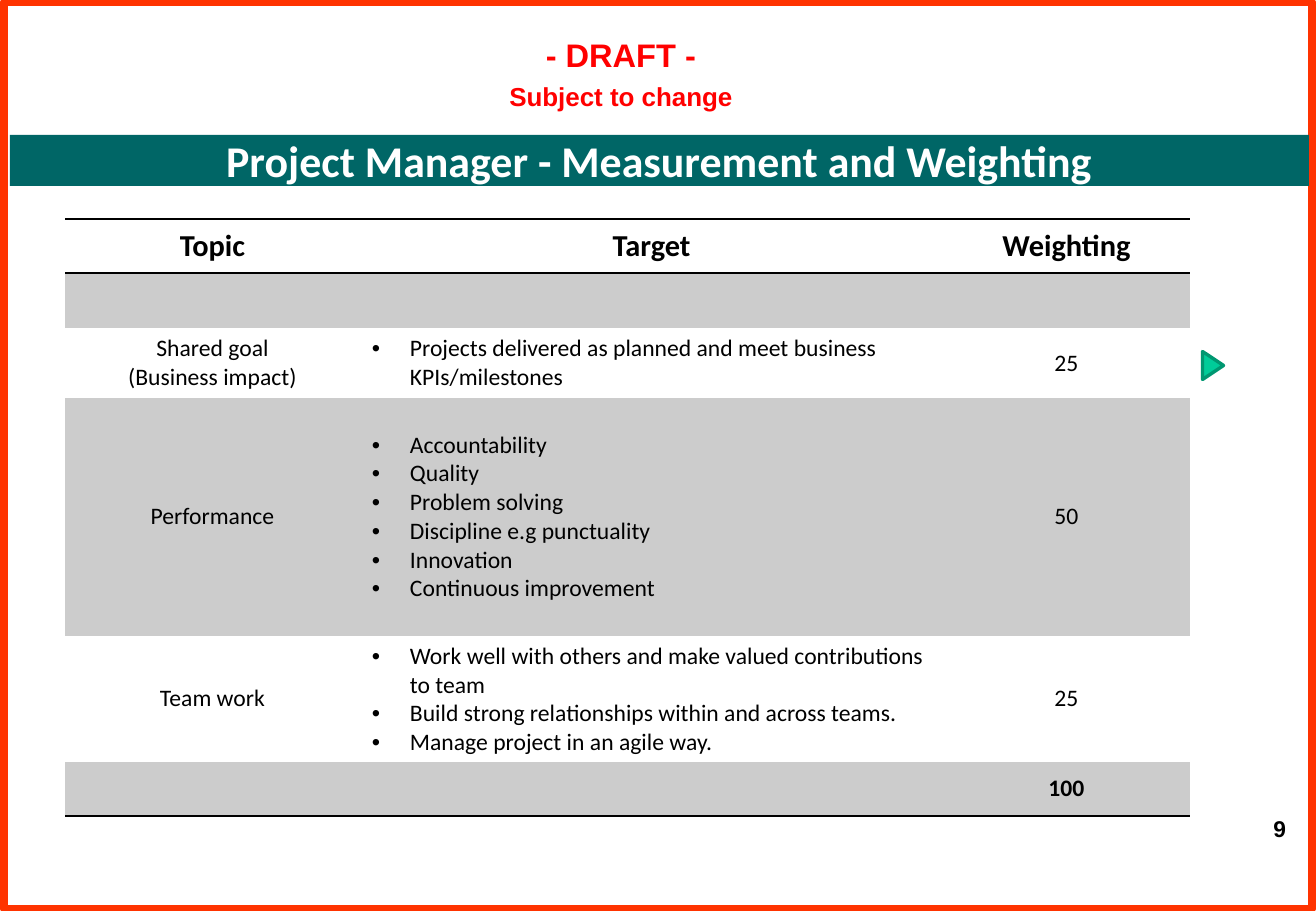
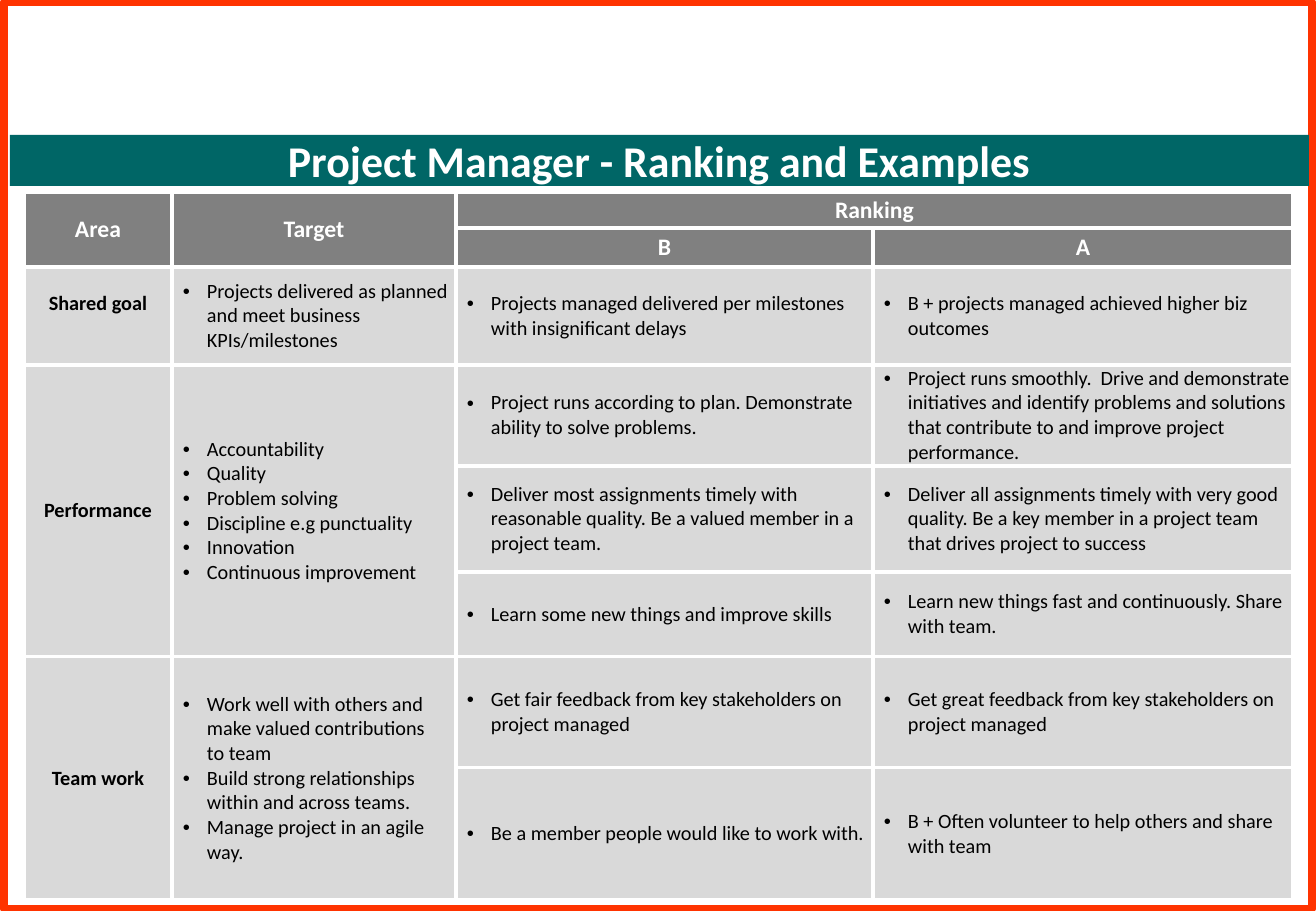
import pptx
import pptx.util
import pptx.dml.color
import pptx.enum.shapes
import pptx.enum.text
import pptx.oxml
import pptx.oxml.ns

PX = 914400 / 121.5  # EMU in one px
W, H = 1316, 911
COLORS = {
    "frame": "FF3300", "band": "006666", "draft": "FF0000", "white": "FFFFFF",
    "black": "000000", "stripe": "CCCCCC", "head": "808080", "body": "D9D9D9",
    "marker": "00CC99", "marker_line": "009771",
}
NO_STYLE = "{2D5ABB26-0587-4C30-8999-92F81FD0307C}"
SHAPE = pptx.enum.shapes.MSO_SHAPE
MIDDLE = pptx.enum.text.MSO_ANCHOR.MIDDLE
ALIGN = {"l": pptx.enum.text.PP_ALIGN.LEFT, "c": pptx.enum.text.PP_ALIGN.CENTER,
         "r": pptx.enum.text.PP_ALIGN.RIGHT}

# Content
GOAL = ["Projects delivered as planned and meet business KPIs/milestones"]
SKILLS = ["Accountability", "Quality", "Problem solving", "Discipline e.g punctuality",
          "Innovation", "Continuous improvement"]
TEAM = ["Work well with others and make valued contributions to team",
        "Build strong relationships within and across teams.",
        "Manage project in an agile way."]

WEIGHTING = {
    "title": "Project Manager - Measurement and Weighting",
    "left": 65, "top": 219,
    "cols": [295, 583, 247],
    "rows": [54, 55, 70, 238, 126, 54],
    "cells": [
        ["Topic", "Target", "Weighting"],
        ["", "", ""],
        [["Shared goal", "(Business impact)"], GOAL, "25"],
        ["Performance", SKILLS, "50"],
        ["Team work", TEAM, "25"],
        ["", "", "100"],
    ],
}
RANKING = {
    "title": "Project Manager - Ranking and Examples",
    "left": 24, "top": 192,
    "cols": [148, 284, 417, 420],
    "rows": [36, 39, 98, 101, 106, 85, 111, 132],
    "merges": [(0, 0, 1, 0), (0, 1, 1, 1), (0, 2, 0, 3),
               (3, 0, 5, 0), (3, 1, 5, 1), (6, 0, 7, 0), (6, 1, 7, 1)],
    "cells": [
        ["Area", "Target", "Ranking", ""],
        ["", "", "B", "A"],
        ["Shared goal", GOAL,
         "Projects managed delivered per milestones with insignificant delays",
         "B + projects managed achieved higher biz outcomes"],
        ["Performance", SKILLS,
         "Project runs according to plan. Demonstrate ability to solve problems.",
         "Project runs smoothly.  Drive and demonstrate initiatives and identify problems "
         "and solutions that contribute to and improve project performance."],
        ["", "",
         "Deliver most assignments timely with reasonable quality. Be a valued member in a "
         "project team.",
         "Deliver all assignments timely with very good quality. Be a key member in a "
         "project team that drives project to success"],
        ["", "", "Learn some new things and improve skills",
         "Learn new things fast and continuously. Share with team."],
        ["Team work", TEAM,
         "Get fair feedback from key stakeholders on project managed",
         "Get great feedback from key stakeholders on project managed"],
        ["", "", "Be a member people would like to work with.",
         "B + Often volunteer to help others and share with team"],
    ],
}


def px(n):
    return pptx.util.Emu(round(n * PX))


def rgb(name):
    return pptx.dml.color.RGBColor.from_string(COLORS[name])


def write(tf, text, size=14, font="Calibri", color="black", bold=False, align="c",
          bullet=None, before=0):
    """Fill a text frame; bullet is (text indent, hanging indent) in px."""
    lines = [text] if isinstance(text, str) else text
    sizes = size if isinstance(size, list) else [size] * len(lines)
    for i, (line, pt) in enumerate(zip(lines, sizes)):
        p = tf.paragraphs[0] if i == 0 else tf.add_paragraph()
        p.alignment = ALIGN[align]
        if i and before:
            p.space_before = pptx.util.Pt(before)
        if bullet:
            pPr = p._p.get_or_add_pPr()
            pPr.set("marL", str(px(bullet[0])))
            pPr.set("indent", str(-px(bullet[1])))
            for xml in ('buFont %s typeface="Arial"', 'buChar %s char="•"'):
                pPr.append(pptx.oxml.parse_xml(f"<a:{xml % pptx.oxml.ns.nsdecls('a')}/>"))
        r = p.add_run()
        r.text = line
        r.font.size, r.font.name, r.font.bold = pptx.util.Pt(pt), font, bold
        r.font.color.rgb = rgb(color)


def add_shape(s, kind, x, y, w, h, fill=None, line=None, weight=1):
    sp = s.shapes.add_shape(kind, px(x), px(y), px(w), px(h))
    sp.shadow.inherit = False
    if fill:
        sp.fill.solid()
        sp.fill.fore_color.rgb = rgb(fill)
    else:
        sp.fill.background()
    if line:
        sp.line.color.rgb = rgb(line)
        sp.line.width = pptx.util.Pt(weight)
    else:
        sp.line.fill.background()
    return sp


def add_text(s, x, y, w, h, text, wrap=True, **fmt):
    tf = s.shapes.add_textbox(px(x), px(y), px(w), px(h)).text_frame
    tf.word_wrap = wrap
    tf.vertical_anchor = MIDDLE
    write(tf, text, **fmt)


def set_margins(frame, left=0, top=0, right=0, bottom=0):
    frame.margin_left, frame.margin_top = px(left), px(top)
    frame.margin_right, frame.margin_bottom = px(right), px(bottom)


def add_base(prs, title):
    """Frame and title band found on every slide."""
    s = prs.slides.add_slide(prs.slide_layouts[6])
    add_shape(s, SHAPE.RECTANGLE, 4, 2, 1308, 907, line="frame", weight=4.5)
    tf = add_shape(s, SHAPE.RECTANGLE, 10, 135, 1299, 51, fill="band").text_frame
    set_margins(tf)
    tf.vertical_anchor = MIDDLE
    write(tf, title, size=26, color="white", bold=True)
    return s


def add_grid(s, data, style):
    """Table whose cell formats come from style(row, column)."""
    cols, rows = data["cols"], data["rows"]
    frame = s.shapes.add_table(len(rows), len(cols), px(data["left"]), px(data["top"]),
                               px(sum(cols)), px(sum(rows)))
    table = frame.table
    table.first_row = table.horz_banding = False
    table._tbl.tblPr.find(pptx.oxml.ns.qn("a:tableStyleId")).text = NO_STYLE
    for i, w in enumerate(cols):
        table.columns[i].width = px(w)
    for i, h in enumerate(rows):
        table.rows[i].height = px(h)
    for r0, c0, r1, c1 in data.get("merges", []):
        table.cell(r0, c0).merge(table.cell(r1, c1))
    for i, row in enumerate(data["cells"]):
        for j, text in enumerate(row):
            cell, look = table.cell(i, j), style(i, j)
            cell.vertical_anchor = MIDDLE
            set_margins(cell, **look["margins"])
            set_borders(cell, *look["borders"])
            if look["fill"]:
                cell.fill.solid()
                cell.fill.fore_color.rgb = rgb(look["fill"])
            else:
                cell.fill.background()
            if text:
                write(cell.text_frame, text, **look["text"])


def set_borders(cell, sides, color, weight):
    for side in sides:
        cell._tc.get_or_add_tcPr().append(pptx.oxml.parse_xml(
            f'<a:ln{side} {pptx.oxml.ns.nsdecls("a")} w="{pptx.util.Pt(weight)}">'
            f'<a:solidFill><a:srgbClr val="{COLORS[color]}"/></a:solidFill></a:ln{side}>'))


def weighting_style(row, col):
    last = len(WEIGHTING["rows"]) - 1
    text = {"size": 14 if row else 18, "bold": row in (0, last)}
    if row and col == 1:
        text.update(align="l", bullet=(38, 38))
    return {"text": text, "fill": "stripe" if row % 2 else None,
            "margins": {"left": 12, "top": 6, "right": 12, "bottom": 6},
            "borders": ({0: "TB", last: "B"}.get(row, ""), "black", 1)}


def ranking_style(row, col):
    margins = {}
    if row < 2:
        text = {"size": 14, "color": "white", "bold": True}
    elif col == 0:
        text = {"size": 12, "bold": True}
        if row == 2:
            margins = {"bottom": 25}  # lifts the label by half a line
    else:
        text = {"size": 12, "align": "l", "bullet": (35, 24)}
        if (row, col) == (6, 1):
            margins = {"right": 12}
    return {"text": text, "fill": "head" if row < 2 else "body", "margins": margins,
            "borders": ("LRTB", "white", 2.25)}


def main():
    prs = pptx.Presentation()
    prs.slide_width, prs.slide_height = px(W), px(H)

    # Measurement and weighting
    s = add_base(prs, WEIGHTING["title"])
    add_text(s, 1247, 809, 51, 39, "9", wrap=False, size=13.5, font="Arial", bold=True,
             align="r")
    add_text(s, 338, 19, 566, 108, ["- DRAFT -", "Subject to change"], size=[19.3, 15.4],
             font="Arial", color="draft", bold=True, before=4)
    add_grid(s, WEIGHTING, weighting_style)
    marker = add_shape(s, SHAPE.ISOSCELES_TRIANGLE, 1199, 355, 28, 21, fill="marker",
                       line="marker_line", weight=2)
    marker.rotation = 90

    # Ranking and examples
    s = add_base(prs, RANKING["title"])
    add_grid(s, RANKING, ranking_style)

    prs.save("out.pptx")


if __name__ == "__main__":
    main()
